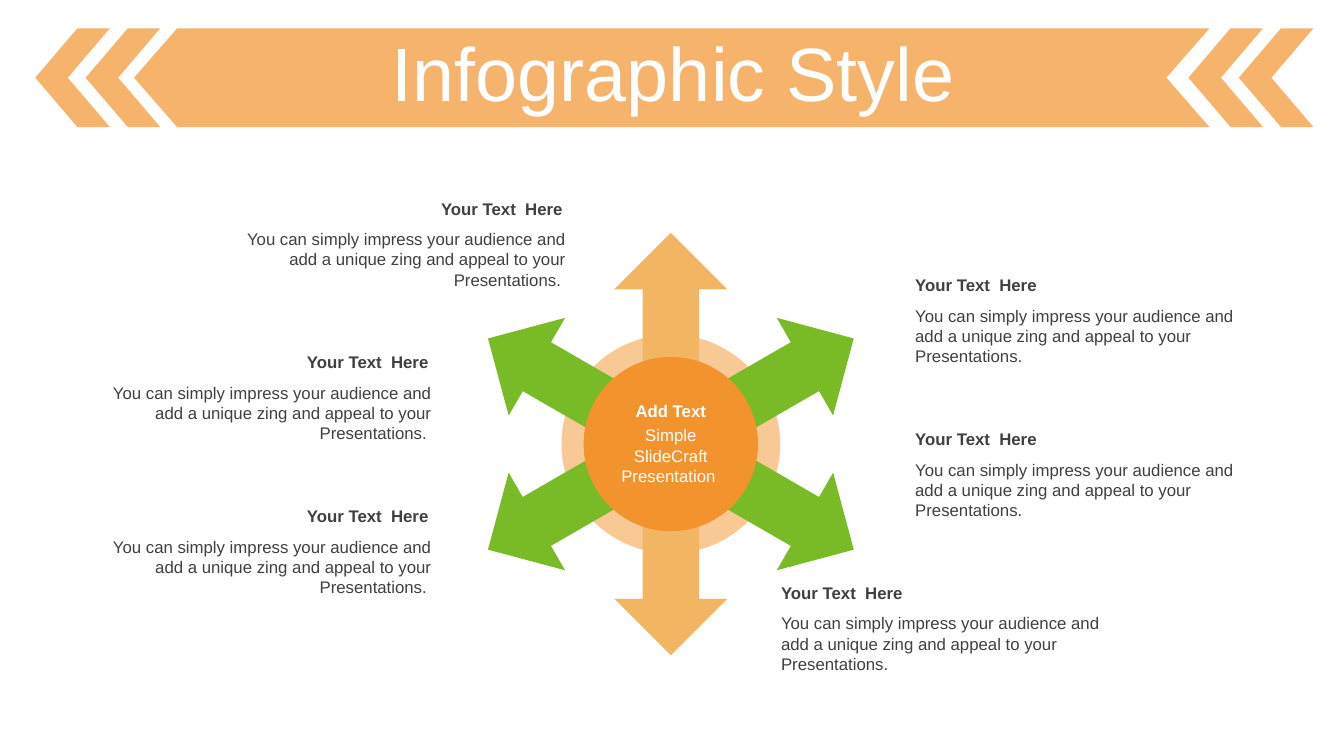
from lxml.etree import SubElement
from pptx import Presentation
from pptx.dml.color import RGBColor
from pptx.enum.shapes import MSO_SHAPE as Shape
from pptx.enum.text import MSO_ANCHOR as Anchor, MSO_AUTO_SIZE as AutoSize, PP_ALIGN as Align
from pptx.oxml.ns import qn
from pptx.util import Pt

TITLE = "Infographic Style"
HUB_HEADING = "Add Text"
HUB_BODY = "Simple SlideCraft Presentation "
HEADING = "Your Text  Here"
BODY = "You can simply impress your audience and add a unique zing and appeal to your Presentations."
COLORS = {"orange": "F3932D", "sand": "F2B662", "green": "79BA27", "white": "FFFFFF", "text": "404040"}
FONT = "Arial"

# Left edges of the callouts from top to bottom, with the first top
CALLOUTS = [
    {"lefts": [153.4, 57.6, 57.6], "top": 138.2, "align": Align.RIGHT, "body": BODY + " "},
    {"lefts": [646.6, 646.6, 550.8], "top": 193, "align": Align.LEFT, "body": BODY},
]
CALLOUT_STEP = 109.8
HEADING_W, HEADING_H = 255.6, 21.8
BODY_W, BODY_H = 257.8, 50.9

BANNER_TOP, BANNER_H = 20.2, 70.6
BANNER_LEFT, BANNER_RIGHT, POINT_DEPTH = 95.8, 864, 30.8
CHEVRON_W, CHEVRON_STEP = 53.3, 36
CHEVRON_GROUPS = [25.2, 848.9]

CENTER_X, CENTER_Y = 479.2, 317.2
RING, HUB = 156.2, 124.6
ARROW_W, ARROW_H = 80.6, 301.7
ARROWS = [(0, "sand"), (60, "green"), (120, "green")]


def paint(shape, color, opacity=100):
    shape.shadow.inherit = False
    shape.line.fill.background()
    shape.fill.solid()
    shape.fill.fore_color.rgb = RGBColor.from_string(COLORS[color])
    if opacity < 100:
        rgb = shape.fill._xPr.find(qn("a:solidFill"))[0]
        SubElement(rgb, qn("a:alpha")).set("val", str(opacity * 1000))


def write(frame, text, size, color, align, bold=False):
    frame.word_wrap = True
    paragraph = frame.paragraphs[0]
    paragraph.alignment = align
    run = paragraph.add_run()
    run.text = text
    run.font.name, run.font.size, run.font.bold = FONT, Pt(size), bold
    run.font.color.rgb = RGBColor.from_string(COLORS[color])
    return paragraph


def add_label(slide, box, text, color, align, bold=False):
    frame = slide.shapes.add_textbox(*map(Pt, box)).text_frame
    write(frame, text, 12, color, align, bold)
    frame.auto_size = AutoSize.SHAPE_TO_FIT_TEXT


def add_centered(slide, kind, width, height):
    return slide.shapes.add_shape(kind, Pt(CENTER_X - width / 2), Pt(CENTER_Y - height / 2),
                                  Pt(width), Pt(height))


def add_banner(slide):
    for group_left in CHEVRON_GROUPS:
        for i in range(2):
            chevron = slide.shapes.add_shape(Shape.CHEVRON, Pt(group_left + i * CHEVRON_STEP),
                                             Pt(BANNER_TOP), Pt(CHEVRON_W), Pt(BANNER_H))
            chevron.adjustments[0] = 0.565
            chevron.rotation = 180
            paint(chevron, "orange", 70)

    middle, bottom = BANNER_TOP + BANNER_H / 2, BANNER_TOP + BANNER_H
    outline = [(BANNER_LEFT + POINT_DEPTH, BANNER_TOP), (BANNER_RIGHT, BANNER_TOP),
               (BANNER_RIGHT - POINT_DEPTH, middle), (BANNER_RIGHT, bottom),
               (BANNER_LEFT + POINT_DEPTH, bottom), (BANNER_LEFT, middle)]
    points = [(Pt(x), Pt(y)) for x, y in outline]
    builder = slide.shapes.build_freeform(*points[0])
    builder.add_line_segments(points[1:])
    paint(builder.convert_to_shape(), "orange", 70)

    title = slide.shapes.title
    title.left, title.top, title.width, title.height = map(Pt, (25.2, 26.6, 911.5, 56.9))
    write(title.text_frame, TITLE, 54, "white", Align.CENTER).line_spacing = 0.9
    title.text_frame.vertical_anchor = Anchor.MIDDLE
    title.text_frame.auto_size = AutoSize.NONE
    slide.shapes._spTree.append(title._element)  # bring the title in front of the banner


def add_wheel(slide):
    paint(add_centered(slide, Shape.OVAL, RING, RING), "orange", 50)
    for angle, color in ARROWS:
        arrow = add_centered(slide, Shape.UP_DOWN_ARROW, ARROW_W, ARROW_H)
        arrow.rotation = angle
        paint(arrow, color)
    paint(add_centered(slide, Shape.OVAL, HUB, HUB), "orange")
    add_label(slide, (435.6, 283, 87.1, HEADING_H), HUB_HEADING, "white", Align.CENTER, True)
    add_label(slide, (435.6, 300.2, 87.1, BODY_H), HUB_BODY, "white", Align.CENTER)


def add_callouts(slide):
    for side in CALLOUTS:
        for i, left in enumerate(side["lefts"]):
            top = side["top"] + i * CALLOUT_STEP
            add_label(slide, (left, top, HEADING_W, HEADING_H), HEADING, "text", side["align"], True)
            add_label(slide, (left, top + HEADING_H, BODY_W, BODY_H), side["body"], "text", side["align"])


def main():
    deck = Presentation()
    deck.slide_width, deck.slide_height = Pt(960), Pt(540)
    slide = deck.slides.add_slide(deck.slide_layouts[5])
    add_banner(slide)
    add_wheel(slide)
    add_callouts(slide)
    deck.save("out.pptx")


if __name__ == "__main__":
    main()
